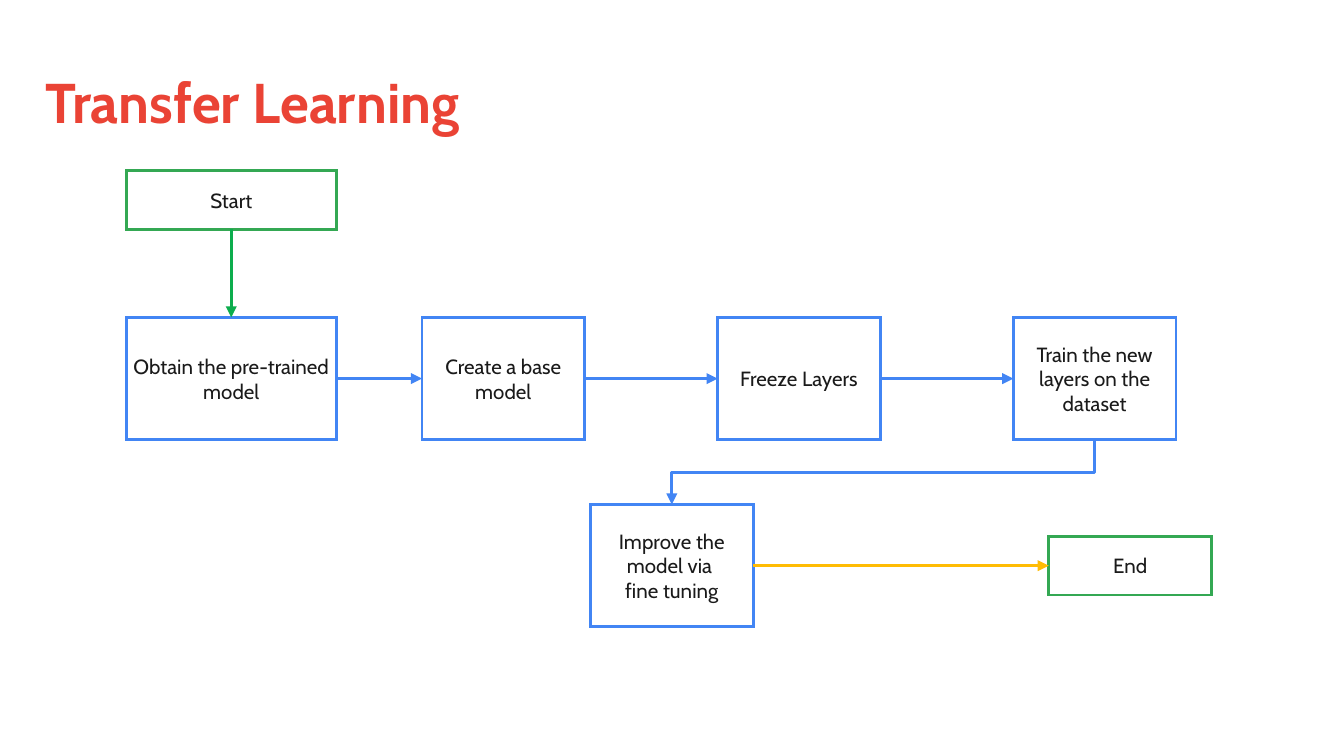
from lxml.etree import SubElement
from pptx import Presentation
from pptx.dml.color import RGBColor
from pptx.enum.shapes import MSO_CONNECTOR, MSO_SHAPE
from pptx.enum.text import MSO_ANCHOR, MSO_AUTO_SIZE, PP_ALIGN
from pptx.oxml.ns import qn
from pptx.util import Inches, Pt

RED = RGBColor(0xEA, 0x43, 0x35)
GREEN = RGBColor(0x34, 0xA8, 0x53)
ARROW_GREEN = RGBColor(0x0C, 0xAD, 0x4D)
BLUE = RGBColor(0x42, 0x85, 0xF4)
YELLOW = RGBColor(0xFF, 0xBC, 0x04)
INK = RGBColor(0x1A, 0x1A, 0x1A)
WHITE = RGBColor(0xFF, 0xFF, 0xFF)

FONT = "Cabin"
LINE_WIDTH = Pt(1.5)
TOP, LEFT, BOTTOM, RIGHT = range(4)

SLIDE_WIDTH = Inches(10)
SLIDE_HEIGHT = SLIDE_WIDTH * 9 // 16

COLUMN, ROW = Inches(2.2), Inches(0.91)
WIDE, NARROW = 0.71, 0.55
TALL, SHORT = 1, 0.48
PROCESS_ROW, TUNING_ROW = 1.2, 2.73
END_ROW = TUNING_ROW + (TALL - SHORT) / 2


def write_lines(frame, lines, size, color, align, anchor, bold=False):
    frame.word_wrap = True
    frame.auto_size = MSO_AUTO_SIZE.NONE
    frame.vertical_anchor = anchor
    frame.margin_left = frame.margin_right = 0
    frame.margin_top = frame.margin_bottom = 0
    for number, line in enumerate(lines):
        paragraph = frame.add_paragraph() if number else frame.paragraphs[0]
        paragraph.alignment = align
        run = paragraph.add_run()
        run.text = line
        run.font.name = FONT
        run.font.size = Pt(size)
        run.font.bold = bold
        run.font.color.rgb = color


def place_title(slide, box, wording):
    title = slide.shapes.title
    title.left, title.top, title.width, title.height = box
    write_lines(title.text_frame, [wording], 30, RED, PP_ALIGN.LEFT, MSO_ANCHOR.TOP, True)


def add_step(slide, origin, column, row, width, height, color, *lines):
    left, top = origin
    step = slide.shapes.add_shape(
        MSO_SHAPE.ROUNDED_RECTANGLE,
        left + round(column * COLUMN), top + round(row * ROW),
        round(width * COLUMN), round(height * ROW))
    step.adjustments[0] = 0
    step.shadow.inherit = False
    step.fill.solid()
    step.fill.fore_color.rgb = WHITE
    step.line.color.rgb = color
    step.line.width = LINE_WIDTH
    SubElement(step.line._get_or_add_ln(), qn("a:miter"), lim="800000")
    write_lines(step.text_frame, lines, 11, INK, PP_ALIGN.CENTER, MSO_ANCHOR.MIDDLE)
    return step


def add_arrow(slide, source, source_side, target, target_side, color,
              kind=MSO_CONNECTOR.STRAIGHT):
    arrow = slide.shapes.add_connector(kind, 0, 0, 0, 0)
    arrow.begin_connect(source, source_side)
    arrow.end_connect(target, target_side)
    arrow.line.color.rgb = color
    arrow.line.width = LINE_WIDTH
    SubElement(arrow.line._get_or_add_ln(), qn("a:tailEnd"), type="triangle")
    SubElement(arrow._element.spPr, qn("a:effectLst"))
    return arrow


def add_return_arrow(slide, source, target, color):
    arrow = add_arrow(slide, source, BOTTOM, target, TOP, color, MSO_CONNECTOR.ELBOW)
    across = arrow.begin_x - arrow.end_x
    down = arrow.end_y - arrow.begin_y
    center_x = (arrow.begin_x + arrow.end_x) // 2
    center_y = (arrow.begin_y + arrow.end_y) // 2
    arrow.left, arrow.top = center_x - down // 2, center_y - across // 2
    arrow.width, arrow.height = down, across
    transform = arrow._element.spPr.find(qn("a:xfrm"))
    transform.set("flipH", "0")
    transform.set("rot", str(90 * 60000))


def place_flow(slide, origin):
    start = add_step(slide, origin, 0, 0, WIDE, SHORT, GREEN, "Start")
    wordings = ("Obtain the pre-trained model", "Create a base model",
                "Freeze Layers", "Train the new layers on the dataset")
    process = [
        add_step(slide, origin, column, PROCESS_ROW, NARROW if column else WIDE,
                 TALL, BLUE, wording)
        for column, wording in enumerate(wordings)]
    tuning = add_step(slide, origin, 1.57, TUNING_ROW, NARROW, TALL, BLUE,
                      "Improve the model via ", "fine tuning")
    end = add_step(slide, origin, 3.12, END_ROW, NARROW, SHORT, GREEN, "End")

    add_arrow(slide, start, BOTTOM, process[0], TOP, ARROW_GREEN)
    for before, after in zip(process, process[1:]):
        add_arrow(slide, before, RIGHT, after, LEFT, BLUE)
    add_return_arrow(slide, process[-1], tuning, BLUE)
    add_arrow(slide, tuning, RIGHT, end, LEFT, YELLOW)


def main():
    deck = Presentation()
    deck.slide_width, deck.slide_height = SLIDE_WIDTH, SLIDE_HEIGHT
    slide = deck.slides.add_slide(deck.slide_layouts[5])
    place_title(slide, (Inches(0.34), Inches(0.5), Inches(3.6), Inches(0.56)),
                "Transfer Learning")
    place_flow(slide, (Inches(0.94), Inches(1.27)))
    deck.save("out.pptx")


if __name__ == "__main__":
    main()
